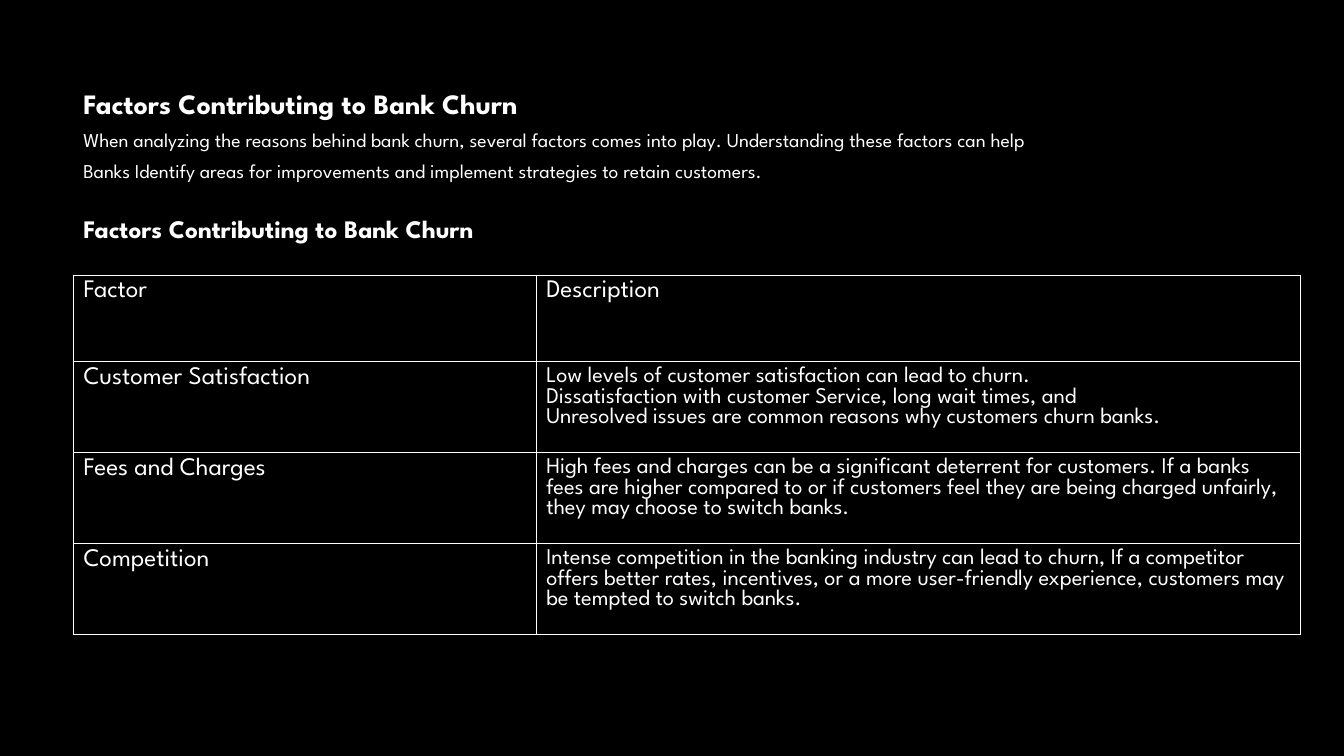
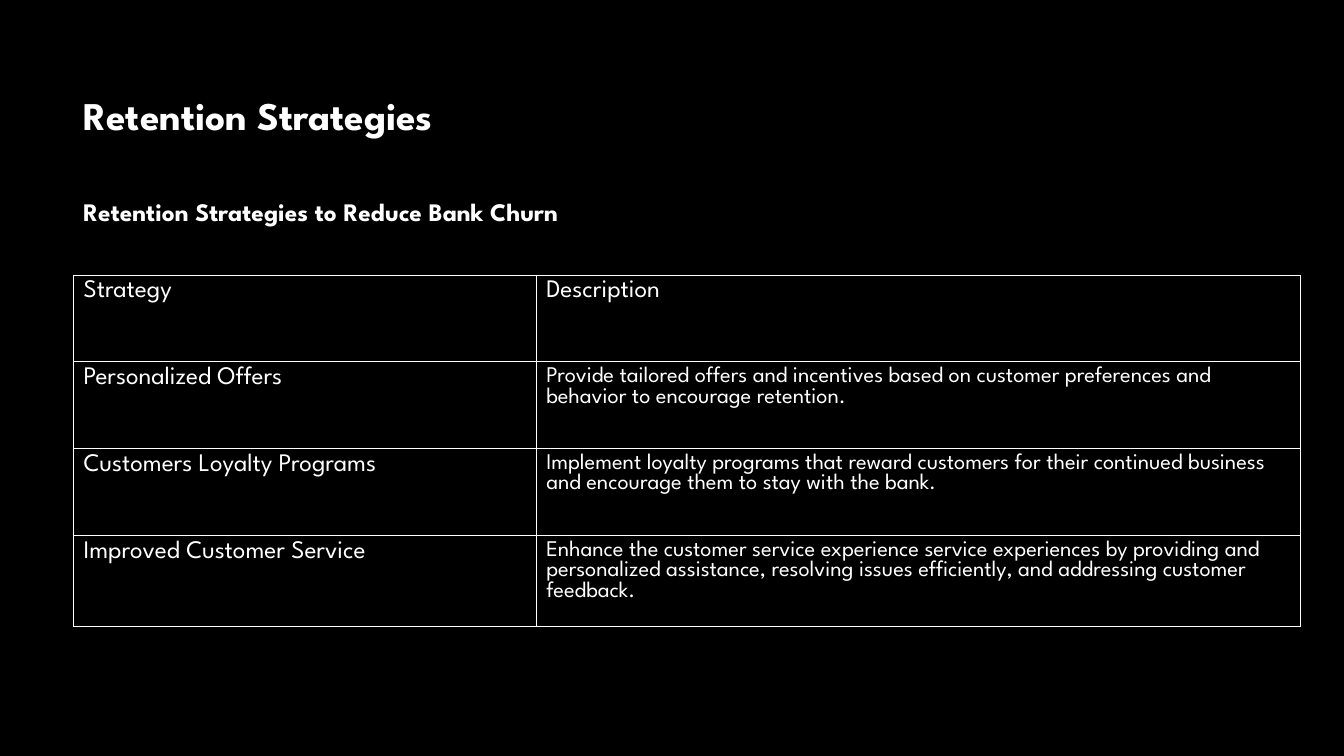
from dataclasses import dataclass

from lxml.etree import SubElement
from pptx import Presentation
from pptx.dml.color import RGBColor
from pptx.enum.text import MSO_AUTO_SIZE
from pptx.oxml.ns import qn
from pptx.slide import Slide
from pptx.table import _Cell
from pptx.text.text import TextFrame
from pptx.util import Pt

# Shared style
BLACK = RGBColor(0, 0, 0)
WHITE = RGBColor(255, 255, 255)
FONT = "League Spartan"
LEFT = 52.5
GRID_TOP = 196.5
COLS = (330.5, 546)
HEAD_SIZE, BODY_SIZE = 18, 16
LEADING = 1.33  # line spacing of the headings


@dataclass
class Box:
    top: float
    width: float
    height: float
    text: str
    sizes: tuple[int, ...]  # one size per paragraph; the first is bold


@dataclass
class Row:
    label: str
    text: str
    height: float = 62


@dataclass
class Page:
    boxes: list[Box]
    rows: list[Row]


PAGES = [
    Page(
        [
            Box(50.4, 823, 65.5,
                "Factors Contributing to Bank Churn\n"
                "When analyzing the reasons behind bank churn, several factors "
                "comes into play. Understanding these factors can help\n"
                "Banks Identify areas for improvements and implement strategies "
                "to retain customers.",
                (20, 14, 14)),
            Box(141.8, 378, 28.8, "Factors Contributing to Bank Churn", (18,)),
        ],
        [
            Row("Factor", "Description"),
            Row("Customer Satisfaction",
                "Low levels of customer satisfaction can lead to churn.\n"
                "Dissatisfaction with customer Service, long wait times, and\n"
                "Unresolved issues are common reasons why customers churn banks.",
                65),
            Row("Fees and Charges",
                "High fees and charges can be a significant deterrent for "
                "customers. If a banks fees are higher compared to or if "
                "customers feel they are being charged unfairly, they may "
                "choose to switch banks.",
                65),
            Row("Competition",
                "Intense competition in the banking industry can lead to churn, "
                "If a competitor offers better rates, incentives, or a more "
                "user-friendly experience, customers may be tempted to switch "
                "banks.",
                65),
        ],
    ),
    Page(
        [
            Box(50.4, 823, 41, "Retention Strategies", (28,)),
            Box(129.6, 448, 28.8, "Retention Strategies to Reduce Bank Churn", (18,)),
        ],
        [
            Row("Strategy", "Description"),
            Row("Personalized Offers",
                "Provide tailored offers and incentives based on customer "
                "preferences and behavior to encourage retention."),
            Row("Customers Loyalty Programs",
                "Implement loyalty programs that reward customers for their "
                "continued business and encourage them to stay with the bank."),
            Row("Improved Customer Service",
                "Enhance the customer service experience service experiences by "
                "providing and personalized assistance, resolving issues "
                "efficiently, and addressing customer feedback.",
                65),
        ],
    ),
]


def write(frame: TextFrame, text: str, sizes: tuple[int, ...],
          bold: bool = False, leading: float = 1) -> None:
    """Fill a frame; the last size serves any further paragraphs."""
    frame.text = text
    for i, para in enumerate(frame.paragraphs):
        para.line_spacing = leading
        for run in para.runs:
            font = run.font
            font.name = FONT
            font.size = Pt(sizes[min(i, len(sizes) - 1)])
            font.bold = bold and i == 0
            font.color.rgb = WHITE


def add_box(slide: Slide, box: Box) -> None:
    shape = slide.shapes.add_textbox(
        Pt(LEFT), Pt(box.top), Pt(box.width), Pt(box.height))
    frame = shape.text_frame
    frame.word_wrap = True
    frame.auto_size = MSO_AUTO_SIZE.SHAPE_TO_FIT_TEXT
    write(frame, box.text, box.sizes, bold=True, leading=LEADING)


def style_cell(cell: _Cell) -> None:
    """Give a cell white borders on a black fill."""
    props = cell._tc.get_or_add_tcPr()
    for side in ("a:lnL", "a:lnR", "a:lnT", "a:lnB"):
        line = SubElement(props, qn(side), w=str(Pt(1)))
        fill = SubElement(line, qn("a:solidFill"))
        SubElement(fill, qn("a:srgbClr"), val=str(WHITE))
    cell.fill.solid()
    cell.fill.fore_color.rgb = BLACK


def add_grid(slide: Slide, rows: list[Row]) -> None:
    table = slide.shapes.add_table(
        len(rows), len(COLS), Pt(LEFT), Pt(GRID_TOP),
        Pt(sum(COLS)), Pt(sum(row.height for row in rows))).table
    table.first_row = table.horz_banding = False
    for col, width in zip(table.columns, COLS):
        col.width = Pt(width)
    for r, row in enumerate(rows):
        table.rows[r].height = Pt(row.height)
        for c, text in enumerate((row.label, row.text)):
            cell = table.cell(r, c)
            size = BODY_SIZE if r and c else HEAD_SIZE
            write(cell.text_frame, text, (size,))
            style_cell(cell)


def main() -> None:
    deck = Presentation()
    deck.slide_width, deck.slide_height = Pt(960), Pt(540)
    blank = deck.slide_layouts[6]
    for page in PAGES:
        slide = deck.slides.add_slide(blank)
        ground = slide.background.fill
        ground.solid()
        ground.fore_color.rgb = BLACK
        for box in page.boxes:
            add_box(slide, box)
        add_grid(slide, page.rows)
    deck.save("out.pptx")


if __name__ == "__main__":
    main()
